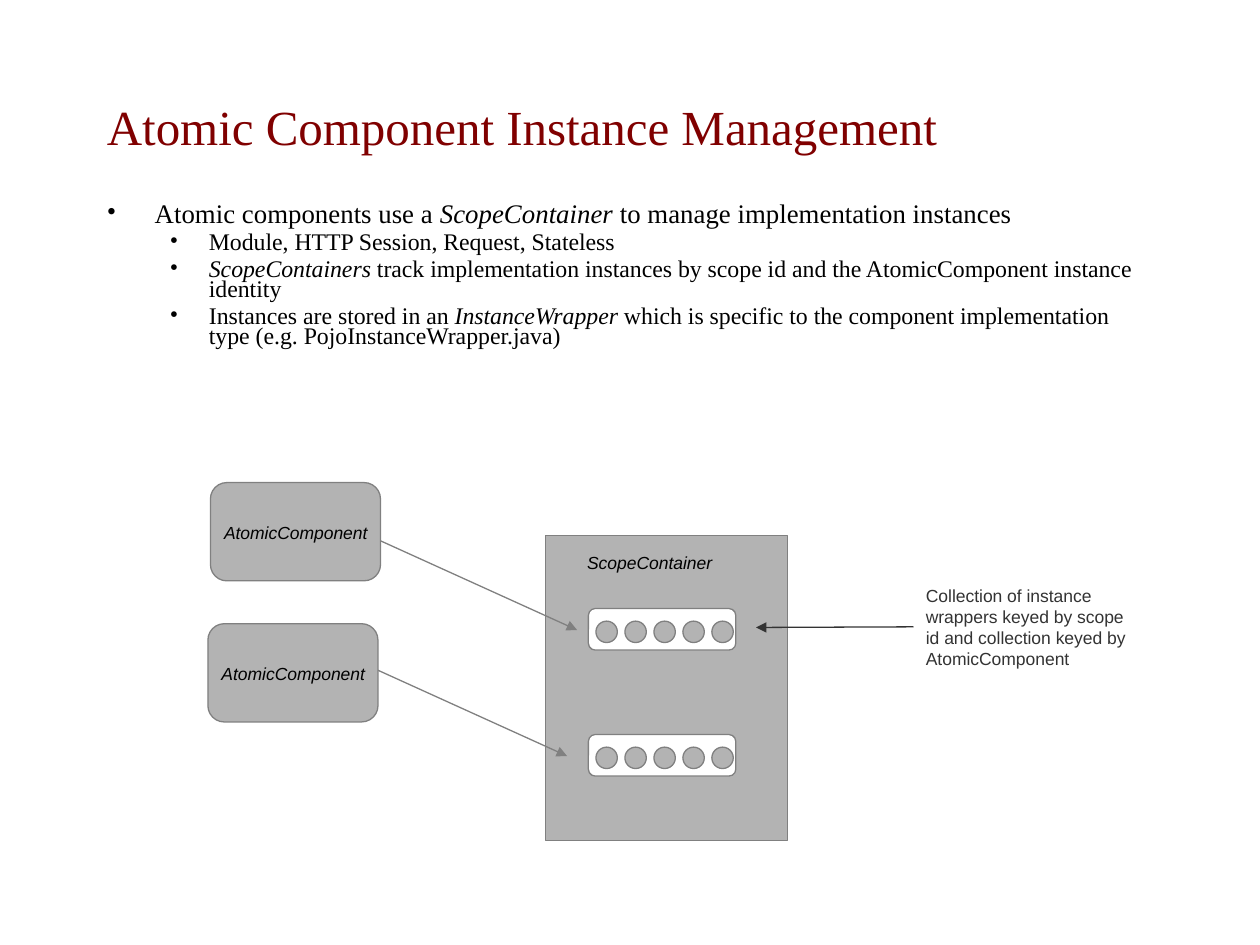
from lxml.etree import SubElement
from pptx import Presentation
from pptx.dml.color import RGBColor
from pptx.enum.shapes import MSO_CONNECTOR, MSO_SHAPE
from pptx.enum.text import MSO_ANCHOR, PP_ALIGN
from pptx.oxml.ns import qn
from pptx.util import Inches, Pt

BLACK = RGBColor(0x00, 0x00, 0x00)
WHITE = RGBColor(0xFF, 0xFF, 0xFF)
MAROON = RGBColor(0x80, 0x00, 0x00)
LIGHT_GRAY = RGBColor(0xB3, 0xB3, 0xB3)
MID_GRAY = RGBColor(0x80, 0x80, 0x80)
DARK_GRAY = RGBColor(0x33, 0x33, 0x33)
SERIF = "Times New Roman"
SANS = "Arial"

# level: (text size, left margin, hanging indent, space before)
BULLET_LEVELS = {0: (15.3, 0.38, 0.38, 4.5), 1: (13.6, 0.81, 0.31, 4)}

# Each bullet is a level and its (text, italic) spans.
BULLETS = [
    (0, [("Atomic components use a ", False), ("ScopeContainer ", True),
         ("to manage implementation instances", False)]),
    (1, [("Module, HTTP Session, Request, Stateless", False)]),
    (1, [("ScopeContainers", True),
         (" track implementation instances by scope id and the "
          "AtomicComponent instance identity", False)]),
    (1, [("Instances are stored in an ", False), ("InstanceWrapper", True),
         (" which is specific to the component implementation type "
          "(e.g. PojoInstanceWrapper.java)", False)]),
]

WRAPPER_COUNT = 5
WRAPPER_PITCH = 0.23


class SlideBuilder:
    def __init__(self, page):
        self.page = page

    def add_span(self, para, text, size, font, color, italic=False):
        span = para.add_run()
        span.text = text
        span.font.size = Pt(size)
        span.font.name = font
        span.font.color.rgb = color
        span.font.italic = italic

    def add_frame(self, left, top, width, height, wrap=True):
        box = self.page.shapes.add_textbox(
            Inches(left), Inches(top), Inches(width), Inches(height))
        box.text_frame.word_wrap = wrap
        return box

    def add_text(self, text, left, top, width, height, size=10, font=SANS,
                 color=BLACK, italic=False, wrap=True, align=PP_ALIGN.LEFT,
                 anchor=MSO_ANCHOR.TOP):
        box = self.add_frame(left, top, width, height, wrap)
        box.text_frame.vertical_anchor = anchor
        para = box.text_frame.paragraphs[0]
        para.alignment = align
        self.add_span(para, text, size, font, color, italic)
        return box

    def add_bullets(self, bullets, left, top, width, height):
        frame = self.add_frame(left, top, width, height).text_frame
        for index, (level, spans) in enumerate(bullets):
            para = frame.add_paragraph() if index else frame.paragraphs[0]
            size, margin, hanging, space_before = BULLET_LEVELS[level]
            para.level = level
            para.line_spacing = 0.7
            if index:
                para.space_before = Pt(space_before)
            properties = para._p.get_or_add_pPr()
            properties.set("marL", str(Inches(margin)))
            properties.set("indent", str(-Inches(hanging)))
            color = SubElement(properties, qn("a:buClr"))
            SubElement(color, qn("a:srgbClr")).set("val", str(BLACK))
            SubElement(properties, qn("a:buFont")).set("typeface", SERIF)
            SubElement(properties, qn("a:buChar")).set("char", "•")
            for text, italic in spans:
                self.add_span(para, text, size, SERIF, BLACK, italic)

    def add_shape(self, kind, left, top, width, height, fill=LIGHT_GRAY):
        shape = self.page.shapes.add_shape(
            kind, Inches(left), Inches(top), Inches(width), Inches(height))
        shape.shadow.inherit = False
        shape.fill.solid()
        shape.fill.fore_color.rgb = fill
        shape.line.color.rgb = MID_GRAY
        shape.line.width = Pt(0.75)
        return shape

    def add_arrow(self, start, end, color=MID_GRAY):
        arrow = self.page.shapes.add_connector(
            MSO_CONNECTOR.STRAIGHT, *map(Inches, start + end))
        arrow.line.color.rgb = color
        arrow.line.width = Pt(0.75)
        SubElement(arrow.line._get_or_add_ln(), qn("a:tailEnd")).set("type", "triangle")
        SubElement(arrow._element.spPr, qn("a:effectLst"))
        return arrow

    def add_component(self, left, top):
        self.add_shape(MSO_SHAPE.ROUNDED_RECTANGLE, left, top, 1.35, 0.78)
        self.add_text("AtomicComponent", left + 0.01, top + 0.26, 1.34, 0.27,
                      italic=True, wrap=False)

    def add_collection(self, left, top):
        """Draw a white tray holding a row of instance wrappers."""
        self.add_shape(MSO_SHAPE.ROUNDED_RECTANGLE, left, top, 1.17, 0.33, WHITE)
        for index in range(WRAPPER_COUNT):
            self.add_shape(MSO_SHAPE.OVAL, left + 0.06 + index * WRAPPER_PITCH,
                           top + 0.1, 0.17, 0.17)


def main():
    deck = Presentation()
    deck.slide_width, deck.slide_height = Inches(10), Inches(7.5)
    builder = SlideBuilder(deck.slides.add_slide(deck.slide_layouts[6]))

    builder.add_text("Atomic Component Instance Management", 0.75, 0.5, 8.5, 1,
                     size=28, font=SERIF, color=MAROON, anchor=MSO_ANCHOR.MIDDLE)
    builder.add_bullets(BULLETS, 0.75, 1.58, 8.5, 1.33)

    builder.add_shape(MSO_SHAPE.RECTANGLE, 4.33, 4.25, 1.92, 2.42)
    builder.add_text("ScopeContainer", 4.56, 4.33, 1.19, 0.27, italic=True,
                     wrap=False, align=PP_ALIGN.RIGHT)

    builder.add_collection(4.67, 4.83)
    builder.add_arrow((2.75, 4.17), (4.58, 5))
    builder.add_component(1.67, 3.83)

    builder.add_collection(4.67, 5.83)
    builder.add_arrow((2.67, 5.17), (4.5, 6))
    builder.add_component(1.65, 4.95)

    note = builder.add_text(
        "Collection of instance wrappers keyed by scope id and collection "
        "keyed by AtomicComponent", 7.25, 4.59, 1.83, 0.77, color=DARK_GRAY)
    builder.add_arrow((7.25, 4.98), (6, 4.98), DARK_GRAY).begin_connect(note, 1)

    deck.save("out.pptx")


if __name__ == "__main__":
    main()
